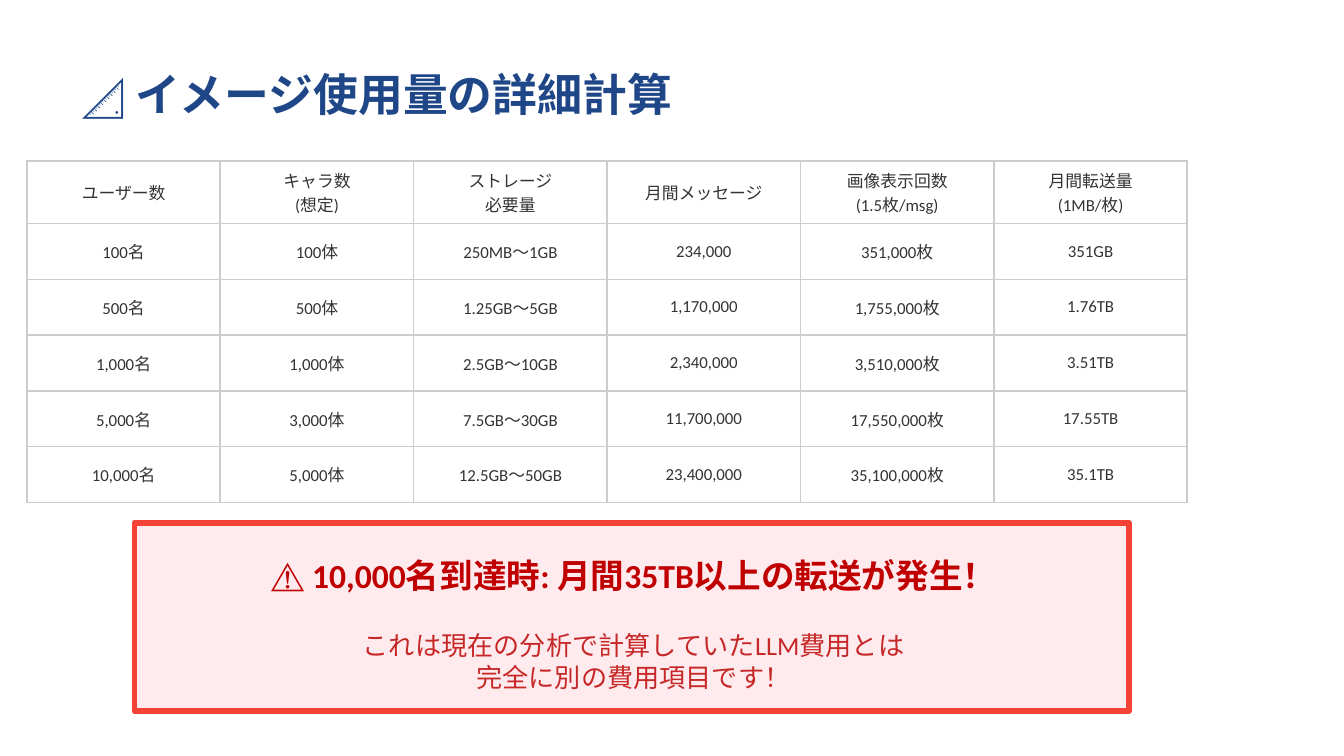
"""Build the slide on detailed image usage: a table and a cost warning."""
from lxml.etree import SubElement
from pptx import Presentation
from pptx.dml.color import RGBColor
from pptx.enum.shapes import MSO_SHAPE
from pptx.enum.text import MSO_ANCHOR, PP_ALIGN
from pptx.oxml.ns import qn
from pptx.util import Inches, Pt

NAVY = RGBColor(0x1F, 0x47, 0x88)
INK = RGBColor(0x33, 0x33, 0x33)
GRAY = RGBColor(0xCC, 0xCC, 0xCC)
WHITE = RGBColor(0xFF, 0xFF, 0xFF)
PINK = RGBColor(0xFF, 0xEB, 0xEE)
RED = RGBColor(0xF4, 0x43, 0x36)
DARK = RGBColor(0xC0, 0x00, 0x00)
BRICK = RGBColor(0xC6, 0x28, 0x28)

ROWS = [
    ["ユーザー数", "キャラ数\n(想定)", "ストレージ\n必要量",
     "月間メッセージ", "画像表示回数\n(1.5枚/msg)", "月間転送量\n(1MB/枚)"],
    ["100名", "100体", "250MB～1GB", "234,000", "351,000枚", "351GB"],
    ["500名", "500体", "1.25GB～5GB", "1,170,000", "1,755,000枚", "1.76TB"],
    ["1,000名", "1,000体", "2.5GB～10GB", "2,340,000", "3,510,000枚", "3.51TB"],
    ["5,000名", "3,000体", "7.5GB～30GB", "11,700,000", "17,550,000枚", "17.55TB"],
    ["10,000名", "5,000体", "12.5GB～50GB", "23,400,000", "35,100,000枚", "35.1TB"],
]
TEXTS = [
    ((5, 4, 90, 6), "📐 イメージ使用量の詳細計算", 24, NAVY, True, PP_ALIGN.LEFT),
    ((12, 40.95, 70.3, 3.7), "⚠️ 10,000名到達時: 月間35TB以上の転送が発生！",
     18, DARK, True, PP_ALIGN.CENTER),
    ((12, 45.95, 70.3, 6.5),
     "これは現在の分析で計算していたLLM費用とは\n完全に別の費用項目です！",
     14, BRICK, False, PP_ALIGN.CENTER),
]


def place(*spans):
    return [int(span * unit) for span in spans]


def write(frame, text, size, color, bold, align):
    for i, line in enumerate(text.split("\n")):
        para = frame.add_paragraph() if i else frame.paragraphs[0]
        para.alignment = align
        run = para.add_run()
        run.text = line
        run.font.name = "Calibri"
        run.font.size = Pt(size)
        run.font.bold = bold
        run.font.color.rgb = color


deck = Presentation()
deck.slide_width = Inches(10)
deck.slide_height = deck.slide_width * 9 // 16
unit = deck.slide_width / 100
slide = deck.slides.add_slide(deck.slide_layouts[6])

table = slide.shapes.add_table(
    len(ROWS), len(ROWS[0]), *place(2, 12, 86.34, 24.92)).table
table.first_row = table.horz_banding = False
for r, row in enumerate(ROWS):
    for c, text in enumerate(row):
        cell = table.cell(r, c)
        cell.vertical_anchor = MSO_ANCHOR.MIDDLE
        write(cell.text_frame, text, 9, INK, False, PP_ALIGN.CENTER)
        props = cell._tc.get_or_add_tcPr()
        for side in ("a:lnL", "a:lnR", "a:lnT", "a:lnB"):
            edge = SubElement(props, qn(side), w=str(Pt(1)))
            fill = SubElement(edge, qn("a:solidFill"))
            SubElement(fill, qn("a:srgbClr"), val=str(GRAY))
        cell.fill.solid()
        cell.fill.fore_color.rgb = WHITE

alert = slide.shapes.add_shape(MSO_SHAPE.RECTANGLE, *place(10, 38.92, 74, 14))
alert.shadow.inherit = False
alert.fill.solid()
alert.fill.fore_color.rgb = PINK
alert.line.color.rgb = RED
alert.line.width = Pt(3)

for spot, text, size, color, bold, align in TEXTS:
    frame = slide.shapes.add_textbox(*place(*spot)).text_frame
    frame.word_wrap = True
    frame.vertical_anchor = MSO_ANCHOR.MIDDLE
    write(frame, text, size, color, bold, align)

deck.save("out.pptx")
